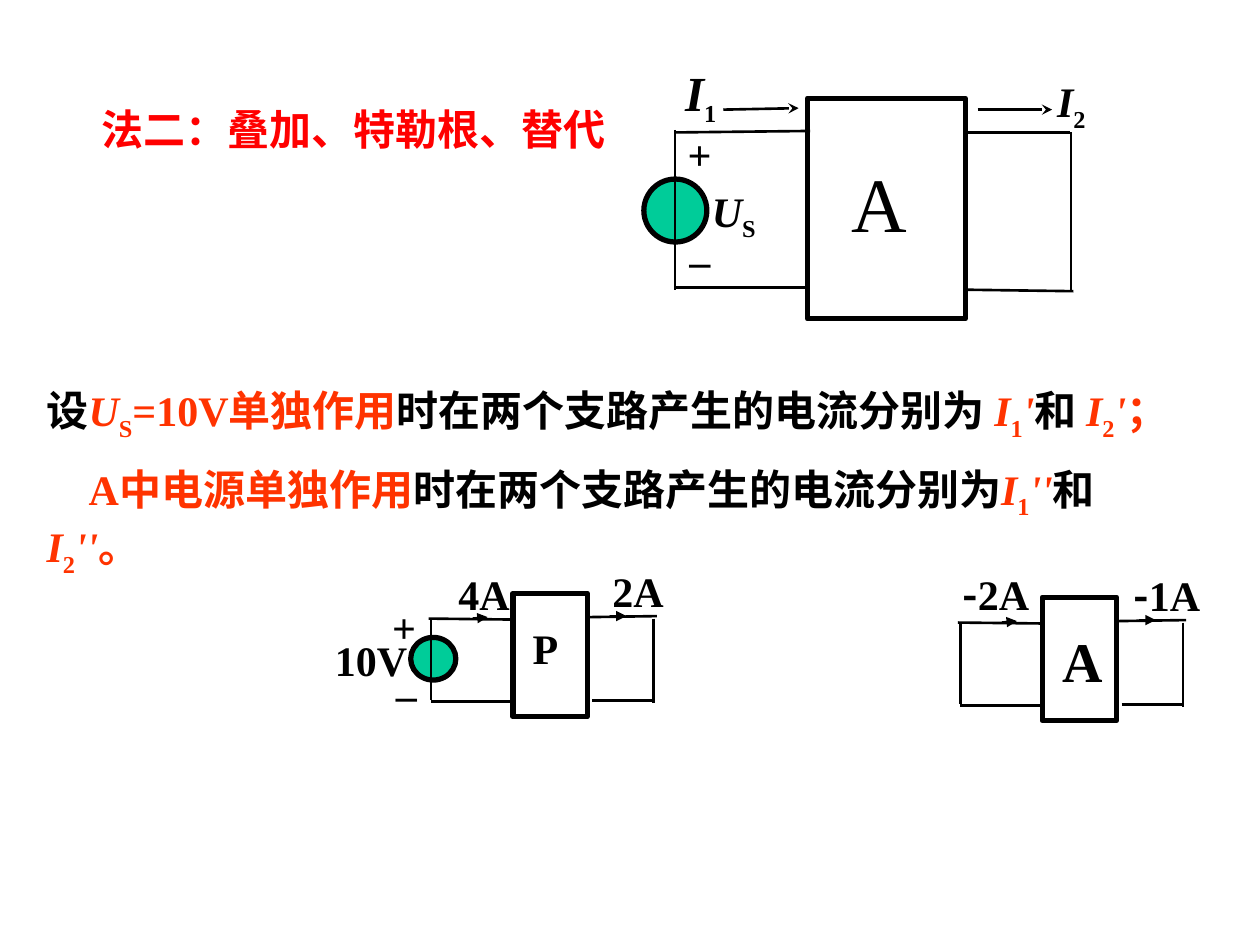
"""Build a slide that solves a circuit by superposition, Tellegen and substitution."""
import pptx
import pptx.dml.color
import pptx.enum.shapes
import pptx.enum.text
import pptx.oxml.ns
import pptx.util
from lxml import etree
from pptx.util import Cm, Pt

BLACK = pptx.dml.color.RGBColor(0, 0, 0)
WHITE = pptx.dml.color.RGBColor(255, 255, 255)
RED = pptx.dml.color.RGBColor(255, 0, 0)
ORANGE = pptx.dml.color.RGBColor(255, 51, 0)
GREEN = pptx.dml.color.RGBColor(0, 204, 153)
LATIN, CHINESE = "Times New Roman", "Noto Sans CJK SC"
RECTANGLE = pptx.enum.shapes.MSO_SHAPE.RECTANGLE
OVAL = pptx.enum.shapes.MSO_SHAPE.OVAL
ANCHOR = pptx.enum.text.MSO_ANCHOR
FIT = pptx.enum.text.MSO_AUTO_SIZE.SHAPE_TO_FIT_TEXT
CENTER = pptx.enum.text.PP_ALIGN.CENTER

ITALIC = {"italic": True}
SUB = {"subscript": True}
MINUS = ("-", {"name": CHINESE})


def current(index, primes):
    """Return the orange runs of a branch current symbol."""
    return [("I", {"italic": True, "color": ORANGE}),
            (index, {"subscript": True, "color": ORANGE}),
            (primes, {"italic": True, "color": ORANGE})]


BODY = [
    [("设", {}), ("U", {"italic": True, "color": ORANGE}),
     ("S", {"subscript": True, "color": ORANGE}),
     ("=10V单独作用", {"color": ORANGE}), ("时在两个支路产生的电流分别为 ", {}),
     *current("1", "'"), ("和 ", {}), *current("2", "'"), ("；", {"color": ORANGE})],
    [("A中电源单独作用", {"color": ORANGE}), ("时在两个支路产生的电流分别为", {}),
     *current("1", "''"), ("和", {}), *current("2", "''"), ("。", {"color": ORANGE})],
]
BODY_BOX = (0.69, 8.31, 23.5, 2.79)

CENTERED_LABELS = [
    ((1.6, 1.96, 11.05, 1.27), [("法二：叠加、特勒根、替代", {"color": RED})]),
    ((13.61, 2.46, 0.99, 1.27), [("+", {})]),
    ((13.64, 4.6, 0.94, 1.27), [("–", {})]),
    ((22.53, 11.35, 1.98, 1.27), [MINUS, ("1A", {})]),
    ((7.65, 11.99, 0.99, 1.27), [("+", {})]),
    ((7.72, 13.34, 0.94, 1.27), [("–", {})]),
    ((12.09, 11.28, 1.55, 1.27), [("2A", {})]),
]
LEFT_LABELS = [
    ((16.92, 3.02, 2.11, 2.11), [("A", {"size": 44, "bold": False})]),
    ((14.1, 3.61, 1.7, 1.27), [("U", ITALIC), ("S", SUB)]),
    ((13.56, 1.14, 1.91, 1.45), [("I", {"italic": True, "size": 28}), ("1", SUB)]),
    ((21.06, 1.4, 1.7, 1.27), [("I", ITALIC), ("2", SUB)]),
    ((21.16, 12.5, 1.02, 1.6), [("A", {"size": 32})]),
    ((19.15, 11.33, 2.24, 1.27), [MINUS, ("2A", {})]),
    ((10.49, 12.42, 1.02, 1.27), [("P", {})]),
    ((6.5, 12.67, 2.01, 1.27), [("10V", {})]),
    ((8.99, 11.33, 1.73, 1.27), [("4A", {})]),
]

MAIN_NETWORK = (16.28, 1.98, 3.18, 4.45)
MAIN_SOURCE = (12.98, 3.61, 1.27, 1.27)
MAIN_WIRES = [
    (13.59, 2.67, 16.33, 2.64), (13.61, 2.62, 13.61, 5.84),
    (13.61, 5.79, 16.28, 5.79), (19.46, 2.67, 21.56, 2.67),
    (21.59, 2.67, 21.59, 5.87), (19.46, 5.84, 21.64, 5.87),
    (13.61, 3.63, 13.61, 4.9),
]
MAIN_ARROWS = [(19.71, 2.21, 21.21, 2.21), (14.58, 2.21, 16.1, 2.18)]

SMALL_ORIGINS = [(21.01, 12.04), (10.34, 11.96)]
SMALL_SIZE = (1.5, 2.49)
SMALL_SOURCE = (8.28, 12.85, 0.91, 0.86)
SMALL_WIRES = [
    (-1.7, 0.51, 0.05, 0.53), (-1.65, 0.53, -1.65, 2.16),
    (-1.65, 2.18, 0, 2.18), (1.55, 0.48, 2.9, 0.46),
    (2.84, 0.51, 2.84, 2.21), (1.6, 2.16, 2.84, 2.16),
]
SMALL_ARROWS = [(-0.81, 0.51, -0.51, 0.48), (1.96, 0.46, 2.29, 0.46)]


def add_outline(slide, kind, box, fill):
    shape = slide.shapes.add_shape(kind, *map(Cm, box))
    shape.shadow.inherit = False
    shape.fill.solid()
    shape.fill.fore_color.rgb = fill
    shape.line.color.rgb = BLACK
    shape.line.width = Pt(3)


def add_wire(slide, ends, arrowhead=None):
    connector = slide.shapes.add_connector(
        pptx.enum.shapes.MSO_CONNECTOR.STRAIGHT, *map(Cm, ends))
    connector.line.color.rgb = BLACK
    connector.line.width = Pt(1.5)
    if arrowhead:
        etree.SubElement(connector.line._get_or_add_ln(),
                         pptx.oxml.ns.qn("a:tailEnd"), type=arrowhead)
    etree.SubElement(connector._element.spPr, pptx.oxml.ns.qn("a:effectLst"))


def add_runs(paragraph, runs):
    for text, style in runs:
        run = paragraph.add_run()
        run.text = text
        run.font.name = style.get("name", LATIN)
        run.font.size = Pt(style.get("size", 24))
        run.font.bold = style.get("bold", True)
        run.font.italic = style.get("italic", False)
        run.font.color.rgb = style.get("color", BLACK)
        properties = run._r.get_or_add_rPr()
        etree.SubElement(properties, pptx.oxml.ns.qn("a:ea"), typeface=CHINESE)
        if style.get("subscript"):
            properties.set("baseline", "-25000")


def add_text(slide, box, paragraphs, wrap=True, anchor=ANCHOR.TOP, alignment=None):
    frame = slide.shapes.add_textbox(*map(Cm, box)).text_frame
    frame.word_wrap = wrap
    frame.auto_size = FIT
    frame.vertical_anchor = anchor
    for index, runs in enumerate(paragraphs):
        paragraph = frame.add_paragraph() if index else frame.paragraphs[0]
        paragraph.alignment = alignment
        if index:
            paragraph.space_before = Pt(12)
            paragraph._p.get_or_add_pPr().set("indent", str(Cm(0.85)))
        add_runs(paragraph, runs)


def add_circuit(slide, network, wires, arrows, arrowhead, source=None):
    add_outline(slide, RECTANGLE, network, WHITE)
    if source:
        add_outline(slide, OVAL, source, GREEN)
    for ends in wires:
        add_wire(slide, ends)
    for ends in arrows:
        add_wire(slide, ends, arrowhead)


def shift(lines, left, top):
    return [(x1 + left, y1 + top, x2 + left, y2 + top) for x1, y1, x2, y2 in lines]


def main():
    presentation = pptx.Presentation()
    presentation.slide_width, presentation.slide_height = Cm(25.4), Cm(19.05)
    slide = presentation.slides.add_slide(presentation.slide_layouts[6])
    add_circuit(slide, MAIN_NETWORK, MAIN_WIRES, MAIN_ARROWS, "stealth", MAIN_SOURCE)
    add_text(slide, BODY_BOX, BODY, anchor=ANCHOR.MIDDLE)
    for origin, source in zip(SMALL_ORIGINS, (None, SMALL_SOURCE)):
        add_circuit(slide, origin + SMALL_SIZE, shift(SMALL_WIRES, *origin),
                    shift(SMALL_ARROWS, *origin), "triangle", source)
    for box, runs in CENTERED_LABELS:
        add_text(slide, box, [runs], False, ANCHOR.MIDDLE, CENTER)
    for box, runs in LEFT_LABELS:
        add_text(slide, box, [runs])
    presentation.save("out.pptx")


if __name__ == "__main__":
    main()
